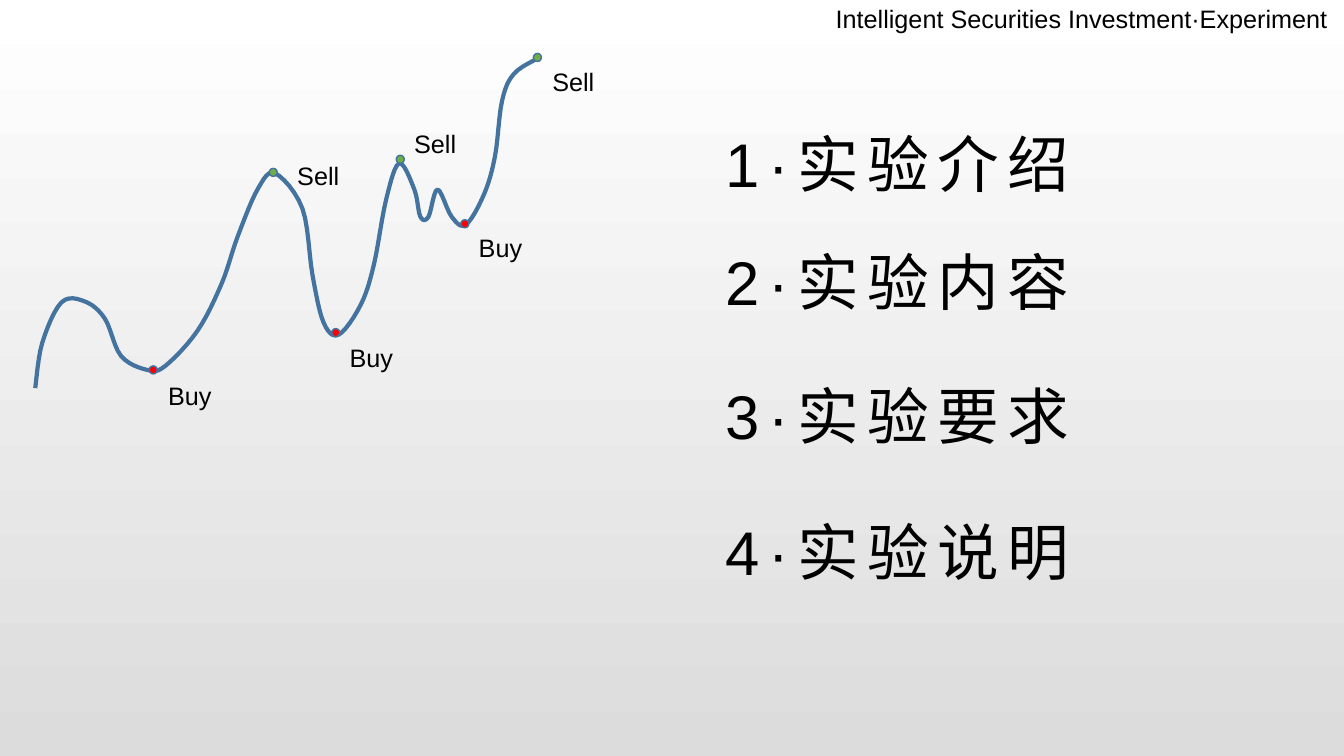
from dataclasses import dataclass

from pptx import Presentation
from pptx.dml.color import RGBColor as RGB
from pptx.enum.shapes import MSO_SHAPE as Shape
from pptx.enum.text import MSO_ANCHOR as Anchor, MSO_AUTO_SIZE as Auto, PP_ALIGN as Align
from pptx.util import Inches, Pt


@dataclass(frozen=True)
class Theme:
    font: str = "Arial"
    ink: RGB = RGB(0, 0, 0)
    curve: RGB = RGB(0x43, 0x73, 0x9E)
    sell: RGB = RGB(0x70, 0xAD, 0x47)
    buy: RGB = RGB(0xFF, 0, 0)
    top: RGB = RGB(0xFF, 0xFF, 0xFF)
    base: RGB = RGB(0xDC, 0xDC, 0xDC)
    small: int = 18
    large: int = 44


THEME = Theme()
DOT = 0.08
LABEL = (0.63, 0.4)
STEPS = 6
PRICES = [
    (0.35, 3.85), (0.42, 3.4), (0.61, 3), (0.84, 2.99), (1.04, 3.16), (1.2, 3.53),
    (1.46, 3.67), (1.64, 3.63), (1.96, 3.28), (2.2, 2.81), (2.36, 2.34), (2.56, 1.87),
    (2.73, 1.72), (3, 2.07), (3.1, 2.73), (3.21, 3.2), (3.36, 3.32), (3.58, 3.02),
    (3.71, 2.62), (3.83, 1.98), (3.96, 1.62), (4.11, 1.88), (4.17, 2.15), (4.25, 2.15),
    (4.34, 1.88), (4.48, 2.15), (4.62, 2.23), (4.8, 1.93), (4.91, 1.55), (4.98, 1),
    (5.1, 0.73), (5.35, 0.57),
]
# Word, corner of the dot, offset from there to the label
TRADES = [
    ("Sell", (3.93, 1.54), (0.08, -0.32)),
    ("Buy", (3.29, 3.26), (0.08, 0.09)),
    ("Buy", (4.57, 2.18), (0.08, 0.08)),
    ("Buy", (1.48, 3.63), (0.09, 0.09)),
    ("Sell", (2.67, 1.67), (0.18, -0.13)),
    ("Sell", (5.29, 0.53), (0.09, 0.08)),
]
TOPICS = [("实验介绍", 0), ("实验内容", 1.17), ("实验要求", 2.5), ("实验说明", 3.85)]


def write(shapes, text, box, size=THEME.small, wrap=False, align=Align.LEFT,
          inset=None, indent=0, track=0, lead=None):
    """Add a text box; track is letter spacing in points, lead is line spacing."""
    frame = shapes.add_textbox(*map(Inches, box)).text_frame
    frame.word_wrap = wrap
    frame.auto_size = Auto.NONE if wrap else Auto.SHAPE_TO_FIT_TEXT
    frame.vertical_anchor = Anchor.TOP
    if inset:
        (frame.margin_left, frame.margin_top,
         frame.margin_right, frame.margin_bottom) = map(Inches, inset)
    par = frame.paragraphs[0]
    par.alignment = align
    par.line_spacing = lead
    if indent:
        par._p.get_or_add_pPr().set("marL", str(Inches(indent)))
    run = par.add_run()
    run.text = text
    run.font.name, run.font.size = THEME.font, Pt(size)
    run.font.color.rgb = THEME.ink
    if track:
        run._r.get_or_add_rPr().set("spc", str(track * 100))


def paint(slide):
    """Fill the background from top to bottom."""
    fill = slide.background.fill
    fill.gradient()
    fill.gradient_angle = 270
    for stop, color, place in zip(fill.gradient_stops, (THEME.top, THEME.base), (0, 1)):
        stop.color.rgb, stop.position = color, place


def add_agenda(slide, left, top, width):
    for num, (topic, down) in enumerate(TOPICS, 1):
        write(slide.shapes, f"{num}·{topic}", (left, top + down, width, 0.98),
              size=THEME.large, wrap=True, align=Align.CENTER, indent=3.83,
              inset=(0.11, 0.04, 0.03, 0.04), track=6, lead=0.9)


def add_trade(slide, word, left, top, shift):
    """Group a dot on the curve with its label."""
    shapes = slide.shapes.add_group_shape().shapes
    dot = shapes.add_shape(Shape.OVAL, *map(Inches, (left, top, DOT, DOT)))
    dot.shadow.inherit = False
    dot.fill.solid()
    dot.fill.fore_color.rgb = THEME.sell if word == "Sell" else THEME.buy
    dot.line.color.rgb, dot.line.width = THEME.curve, Pt(1)
    write(shapes, word, (left + shift[0], top + shift[1], *LABEL))


def blend(a, b, c, d, t):
    """Catmull-Rom value between b and c."""
    return b + t / 2 * (c - a + t * (2 * a - 5 * b + 4 * c - d
                                     + t * (3 * (b - c) + d - a)))


def smooth(knots):
    """Return closely spaced points on a spline through the knots."""
    ends = [knots[0], *knots, knots[-1]]
    points = [
        tuple(blend(*axis, step / STEPS) for axis in zip(*four))
        for four in zip(ends, ends[1:], ends[2:], ends[3:])
        for step in range(STEPS)
    ]
    return points + [knots[-1]]


def add_curve(slide, left, top):
    points = [(Inches(left + x), Inches(top + y)) for x, y in smooth(PRICES)]
    pen = slide.shapes.build_freeform(*points[0])
    pen.add_line_segments(points[1:], close=False)
    curve = pen.convert_to_shape()
    curve.shadow.inherit = False
    curve.fill.background()
    curve.line.color.rgb, curve.line.width = THEME.curve, Pt(3)
    for word, (x, y), shift in TRADES:
        add_trade(slide, word, left + x, top + y, shift)


def main():
    deck = Presentation()
    deck.slide_width, deck.slide_height = Inches(13.33), Inches(7.5)
    slide = deck.slides.add_slide(deck.slide_layouts[6])
    paint(slide)
    write(slide.shapes, "Intelligent Securities Investment·Experiment",
          (8.19, -0.02, 5.13, 0.4))
    add_agenda(slide, 1.01, 1.29, 11.87)
    add_curve(slide, 0, 0)
    deck.save("out.pptx")


if __name__ == "__main__":
    main()
